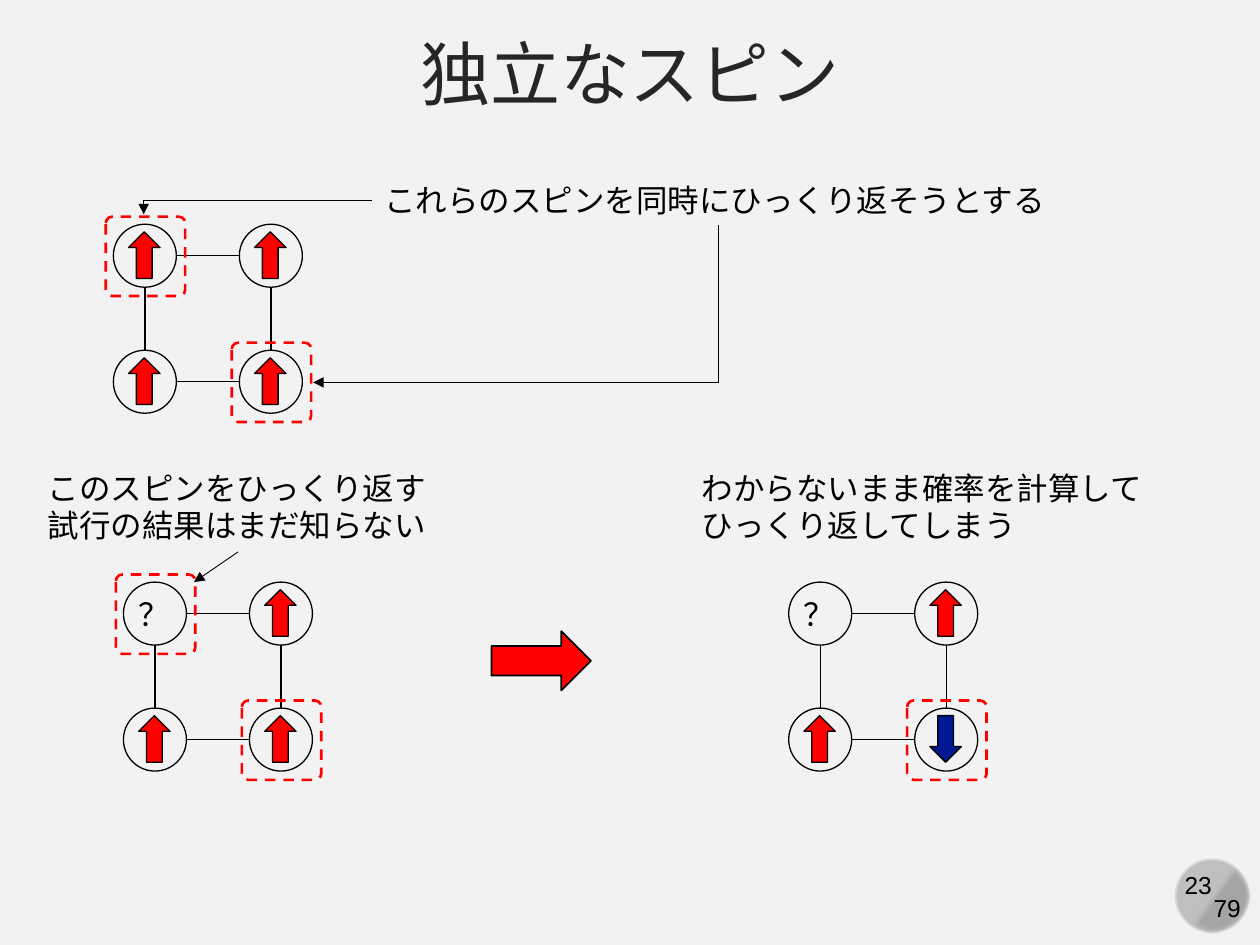
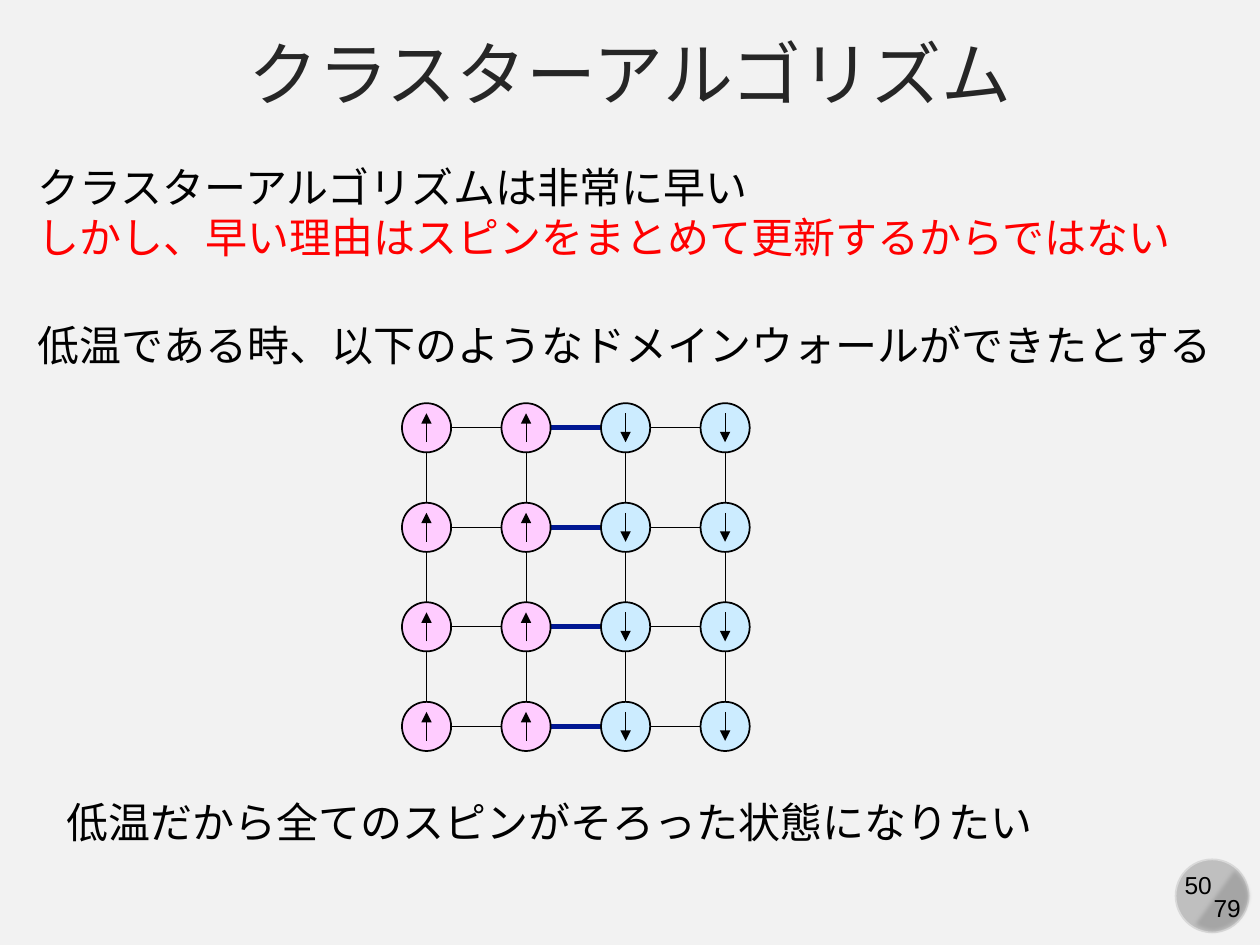
"""Build two slides about spin flips and the cluster algorithm."""
import itertools

import lxml.etree
import pptx
import pptx.dml.color
import pptx.enum.dml
import pptx.enum.shapes
import pptx.enum.text
import pptx.oxml.ns
import pptx.util

Inches = pptx.util.Inches
Shape = pptx.enum.shapes.MSO_SHAPE
Connector = pptx.enum.shapes.MSO_CONNECTOR
Align = pptx.enum.text.PP_ALIGN
AutoSize = pptx.enum.text.MSO_AUTO_SIZE
qn = pptx.oxml.ns.qn

FONT = "Arial"
BLACK, RED, NAVY = "000000", "FF0000", "011893"
PAPER, INK = "F2F2F2", "262626"
PINK, SKY = "FFCCFF", "CCECFF"
BADGE, BADGE_RIM, BADGE_SHADE = "BFBFBF", "D9D9D9", "A6A6A6"
LAST_PAGE = "79"

FLIP_TITLE, FLIP_NUMBER = "独立なスピン", "23"
FLIP_TEXTS = [
    (2.95, 1.39, 5.5, 0.4, ["これらのスピンを同時にひっくり返そうとする"]),
    (0.28, 3.67, 3.23, 0.71, ["このスピンをひっくり返す", "試行の結果はまだ知らない"]),
    (5.47, 3.67, 3.74, 0.71, ["わからないまま確率を計算して", "ひっくり返してしまう"]),
]
QUADS = [
    {"left": 0.9, "top": 1.78, "spins": ["↑↑", "↑↑"], "marked": [(0, 0), (1, 1)]},
    {"left": 0.98, "top": 4.62, "spins": ["？↑", "↑↑"], "marked": [(0, 0), (1, 1)]},
    {"left": 6.26, "top": 4.62, "spins": ["？↑", "↑↓"], "marked": [(1, 1)]},
]
QUAD_PITCH, QUAD_CIRCLE = 1.0, 0.5
SPIN_ARROWS = {"↑": (Shape.UP_ARROW, RED), "↓": (Shape.DOWN_ARROW, NAVY)}
ELBOWS = [
    (1.14, 1.59, 1.81, 0.11, 180, True),
    (3.47, 0.8, 1.25, 3.22, 90, False),
]

CLUSTER_TITLE, CLUSTER_NUMBER = "クラスターアルゴリズム", "50"
CLUSTER_TEXTS = [
    (0.2, 1.23, 9.29, 0.91, ["クラスターアルゴリズムは非常に早い",
                             "しかし、早い理由はスピンをまとめて更新するからではない"]),
    (0.2, 2.49, 9.63, 0.5, ["低温である時、以下のようなドメインウォールができたとする"]),
    (0.43, 6.27, 7.94, 0.5, ["低温だから全てのスピンがそろった状態になりたい"]),
]
DOMAIN_ROWS = ["↑↑↓↓"] * 4
DOMAIN_LEFT, DOMAIN_TOP, DOMAIN_PITCH, DOMAIN_CIRCLE = 3.19, 3.2, 0.79, 0.39
DOMAIN_FILLS = {"↑": PINK, "↓": SKY}


def colour(value):
    """Turn a hex string into a colour."""
    return pptx.dml.color.RGBColor.from_string(value)


def add_effects(properties):
    """Append an effect list, which also removes the theme shadow."""
    return lxml.etree.SubElement(properties, qn("a:effectLst"))


def add_figure(shapes, kind, left, top, width, height, fill=None, line=BLACK, weight=0.75):
    """Add a preset shape with a plain fill and outline."""
    figure = shapes.add_shape(kind, Inches(left), Inches(top), Inches(width), Inches(height))
    figure.shadow.inherit = False
    if fill:
        figure.fill.solid()
        figure.fill.fore_color.rgb = colour(fill)
    else:
        figure.fill.background()
    if line:
        figure.line.color.rgb = colour(line)
        figure.line.width = pptx.util.Pt(weight)
    else:
        figure.line.fill.background()
    return figure


def add_line(shapes, start, end, weight=0.5, line=BLACK, arrow=False, kind=Connector.STRAIGHT):
    """Add a connector between two points, with an arrowhead if wanted."""
    connector = shapes.add_connector(kind, *map(Inches, (*start, *end)))
    connector.line.color.rgb = colour(line)
    connector.line.width = pptx.util.Pt(weight)
    properties = connector._element.spPr
    if arrow:
        lxml.etree.SubElement(properties.find(qn("a:ln")), qn("a:tailEnd"), type="triangle")
    add_effects(properties)
    return connector


def add_elbow(shapes, left, top, width, height, turn, flip):
    """Add a one-corner arrow from its unrotated frame."""
    elbow = add_line(shapes, (left, top), (left + width, top + height),
                     arrow=True, kind=Connector.ELBOW)
    properties = elbow._element.spPr
    properties.find(qn("a:prstGeom")).set("prst", "bentConnector2")
    frame = properties.find(qn("a:xfrm"))
    frame.set("rot", str(turn * 60000))
    if flip:
        frame.set("flipV", "1")


def add_text(shapes, left, top, width, height, lines, size, align=Align.LEFT):
    """Add an unwrapped text box with one paragraph per line."""
    box = shapes.add_textbox(Inches(left), Inches(top), Inches(width), Inches(height))
    frame = box.text_frame
    frame.text = "\n".join(lines)
    frame.word_wrap = False
    frame.auto_size = AutoSize.SHAPE_TO_FIT_TEXT
    for para in frame.paragraphs:
        para.alignment = align
        para.font.name = FONT
        para.font.size = pptx.util.Pt(size)
        para.font.color.rgb = colour(BLACK)
    return box


def add_page(deck, title, number):
    """Add a titled page with its page badge."""
    page = deck.slides.add_slide(deck.slide_layouts[5])
    heading = page.shapes.title
    heading.left, heading.top, heading.width, heading.height = map(Inches, (0, 0.21, 10, 0.82))
    frame = heading.text_frame
    frame.text = title
    frame.auto_size = AutoSize.NONE
    frame.vertical_anchor = pptx.enum.text.MSO_ANCHOR.MIDDLE
    para = frame.paragraphs[0]
    para.alignment = Align.CENTER
    para.line_spacing = 0.9
    para.font.name = FONT
    para.font.size = pptx.util.Pt(40)
    para.font.color.rgb = colour(INK)

    add_figure(page.shapes, Shape.OVAL, 9.33, 6.82, 0.58, 0.58, BADGE, BADGE_RIM, 1)
    shade = add_figure(page.shapes, Shape.CHORD, 9.32, 6.8, 0.62, 0.62, BADGE_SHADE, None)
    shade.rotation = 255
    shade.adjustments[0], shade.adjustments[1] = 27, 141.42
    effects = shade._element.spPr.find(qn("a:effectLst"))
    lxml.etree.SubElement(effects, qn("a:softEdge"), rad="31750")
    add_text(page.shapes, 9.29, 6.86, 0.44, 0.34, [number], 14, Align.CENTER)
    add_text(page.shapes, 9.53, 7.04, 0.42, 0.34, [LAST_PAGE], 14, Align.CENTER)
    return page


def add_bonds(shapes, left, top, rows, pitch, circle, weight, wall_weight=None):
    """Join neighbouring circles; unlike spins in a row get a wall bond if one is set."""
    middle = circle / 2
    for row, spins in enumerate(rows):
        for column, spin in enumerate(spins):
            x, y = left + column * pitch, top + row * pitch
            if column + 1 < len(spins):
                wall = wall_weight and spin != spins[column + 1]
                add_line(shapes, (x + circle, y + middle), (x + pitch, y + middle),
                         wall_weight if wall else weight, NAVY if wall else BLACK)
            if row + 1 < len(rows):
                add_line(shapes, (x + middle, y + circle), (x + middle, y + pitch), weight)


def add_quad(page, left, top, spins, marked):
    """Draw four joined spins and dashed frames round the marked ones."""
    shapes = page.shapes.add_group_shape().shapes
    for row, column in itertools.product(range(2), repeat=2):
        x, y = left + column * QUAD_PITCH, top + row * QUAD_PITCH
        spin = spins[row][column]
        add_figure(shapes, Shape.OVAL, x, y, QUAD_CIRCLE, QUAD_CIRCLE)
        if spin in SPIN_ARROWS:
            kind, fill = SPIN_ARROWS[spin]
            add_figure(shapes, kind, x + 0.12, y + 0.06, 0.25, 0.37, fill)
        else:
            add_text(shapes, x + 0.02, y + 0.05, 0.45, 0.4, [spin], 18)
    add_bonds(shapes, left, top, spins, QUAD_PITCH, QUAD_CIRCLE, 0.75)
    for row, column in marked:
        mark = add_figure(page.shapes, Shape.ROUNDED_RECTANGLE, left + column * QUAD_PITCH - 0.06,
                          top + row * QUAD_PITCH - 0.06, 0.63, 0.63, None, RED, 1.5)
        mark.adjustments[0] = 0.08
        mark.line.dash_style = pptx.enum.dml.MSO_LINE.DASH


def build_flip_page(deck):
    """Build the page on flipping independent spins."""
    page = add_page(deck, FLIP_TITLE, FLIP_NUMBER)
    for quad in QUADS:
        add_quad(page, **quad)
    for *place, lines in FLIP_TEXTS:
        add_text(page.shapes, *place, lines, 18)
    for elbow in ELBOWS:
        add_elbow(page.shapes, *elbow)
    add_line(page.shapes, (1.89, 4.38), (1.54, 4.62), arrow=True)
    add_figure(page.shapes, Shape.RIGHT_ARROW, 3.9, 5.01, 0.79, 0.47, RED, weight=1)


def build_cluster_page(deck):
    """Build the page on the cluster algorithm and its domain wall."""
    page = add_page(deck, CLUSTER_TITLE, CLUSTER_NUMBER)
    boxes = [add_text(page.shapes, *place, lines, 24) for *place, lines in CLUSTER_TEXTS]
    boxes[0].text_frame.paragraphs[1].font.color.rgb = colour(RED)
    add_bonds(page.shapes, DOMAIN_LEFT, DOMAIN_TOP, DOMAIN_ROWS,
              DOMAIN_PITCH, DOMAIN_CIRCLE, 0.5, 3)
    for row, spins in enumerate(DOMAIN_ROWS):
        for column, spin in enumerate(spins):
            x, y = DOMAIN_LEFT + column * DOMAIN_PITCH, DOMAIN_TOP + row * DOMAIN_PITCH
            shapes = page.shapes.add_group_shape().shapes
            add_figure(shapes, Shape.OVAL, x, y, DOMAIN_CIRCLE, DOMAIN_CIRCLE,
                       DOMAIN_FILLS[spin], weight=1)
            middle = x + DOMAIN_CIRCLE / 2
            ends = [(middle, y + 0.08), (middle, y + 0.31)]
            start, end = ends if spin == "↓" else reversed(ends)
            add_line(shapes, start, end, arrow=True)


def main():
    """Build and save the deck."""
    deck = pptx.Presentation()
    deck.slide_width, deck.slide_height = Inches(10), Inches(7.5)
    backdrop = deck.slide_master.background.fill
    backdrop.solid()
    backdrop.fore_color.rgb = colour(PAPER)
    build_flip_page(deck)
    build_cluster_page(deck)
    deck.save("out.pptx")


if __name__ == "__main__":
    main()
